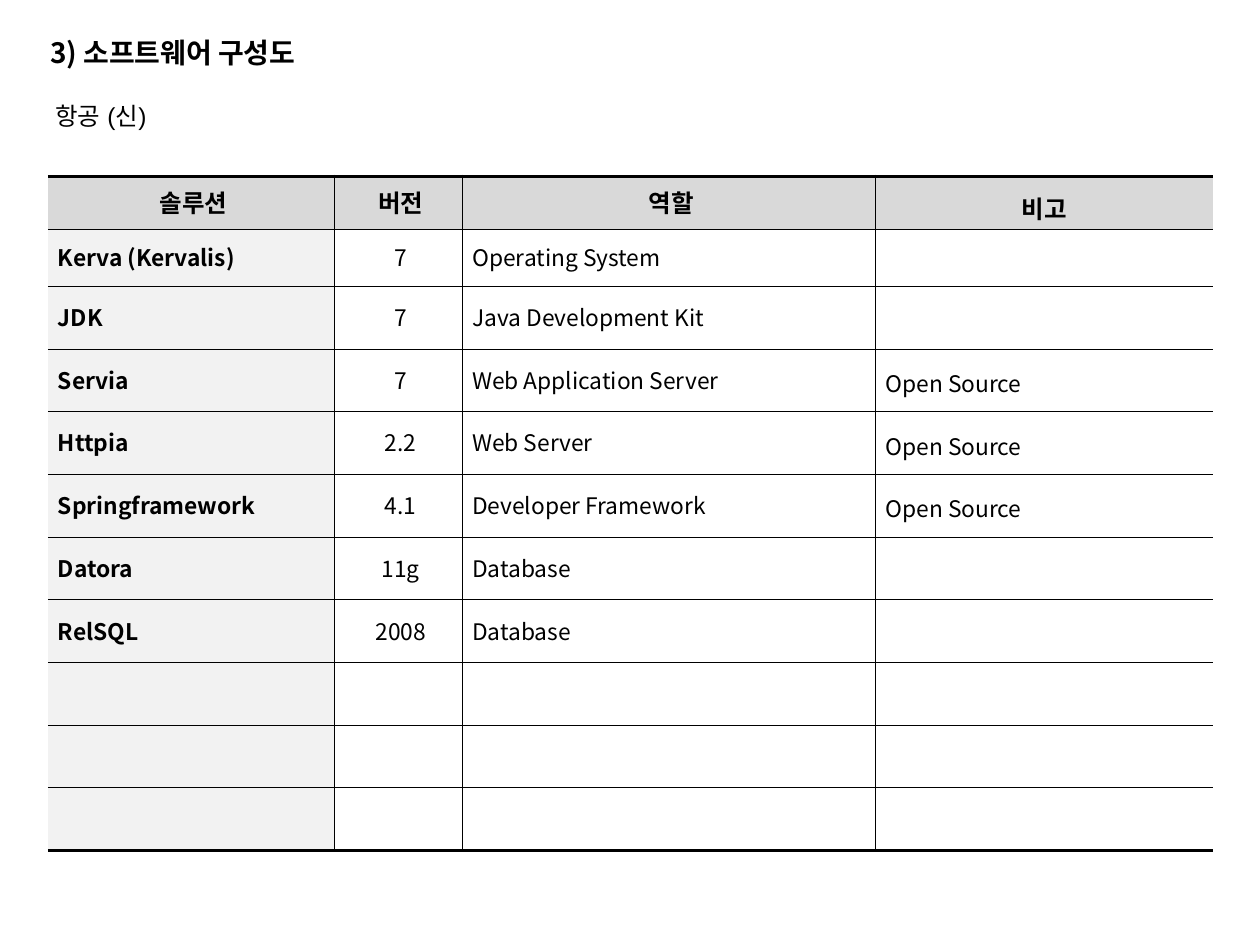
import pptx
import pptx.dml.color
import pptx.enum.text
import pptx.oxml
import pptx.oxml.ns
import pptx.util

Inches, Pt = pptx.util.Inches, pptx.util.Pt
ALIGN = pptx.enum.text.PP_ALIGN
MIDDLE = pptx.enum.text.MSO_ANCHOR.MIDDLE

COLORS = {"text": "000000", "rule": "000000", "header": "D9D9D9",
          "solution": "F2F2F2", "body": "FFFFFF"}
KOREAN_FONT = "Noto Sans CJK KR"
THIN, THICK = 0.25, 2.25

# Table grid, in inches
TABLE_LEFT, TABLE_TOP, TABLE_HEIGHT = 0.38, 1.4, 5.35
COLUMN_WIDTHS = [2.27, 1.02, 3.28, 2.68]
HEADER_HEIGHT, FIRST_HEIGHT = 0.42, 0.45
EMPTY_ROWS = 3

HEADINGS = ["솔루션", "버전", "역할", "비고"]
SOLUTIONS = [
    ["Kerva (Kervalis)", "7", "Operating System", ""],
    ["JDK", "7", "Java Development Kit", ""],
    ["Servia", "7", "Web Application Server", "Open Source"],
    ["Httpia", "2.2", "Web Server", "Open Source"],
    ["Springframework", "4.1", "Developer Framework", "Open Source"],
    ["Datora", "11g", "Database", ""],
    ["RelSQL", "2008", "Database", ""],
]


def rgb(name):
    return pptx.dml.color.RGBColor.from_string(COLORS[name])


def write(frame, text, size=13, bold=False, font=KOREAN_FONT,
          align=ALIGN.LEFT, before=0, spacing=None, hanging=0):
    paragraph = frame.paragraphs[0]
    paragraph.alignment = align
    paragraph.space_before = Pt(before)
    if spacing:
        paragraph.line_spacing = spacing
    if hanging:
        properties = paragraph._p.get_or_add_pPr()
        properties.set("marL", str(Inches(hanging)))
        properties.set("indent", str(-Inches(hanging)))
    run = paragraph.add_run()
    run.text = text
    run.font.size, run.font.bold, run.font.name = Pt(size), bold, font
    run.font.color.rgb = rgb("text")
    # Hangul takes its typeface from the East Asian font
    east_asian = pptx.oxml.parse_xml(
        f'<a:ea {pptx.oxml.ns.nsdecls("a")} typeface="{font}"/>')
    run.font._element.append(east_asian)


def add_label(slide, text, left, top, width, height, anchor=None, **style):
    box = slide.shapes.add_textbox(*map(Inches, (left, top, width, height)))
    box.text_frame.word_wrap = True
    if anchor is not None:
        box.text_frame.vertical_anchor = anchor
    write(box.text_frame, text, **style)


def set_borders(cell, left, right, top, bottom):
    """Draw each side with its width in points; 0 leaves it open."""
    properties = cell._tc.get_or_add_tcPr()
    sides = {"lnL": left, "lnR": right, "lnT": top, "lnB": bottom}
    for position, (tag, width) in enumerate(sides.items()):
        paint = (f'<a:solidFill><a:srgbClr val="{COLORS["rule"]}"/></a:solidFill>'
                 if width else "<a:noFill/>")
        line = pptx.oxml.parse_xml(
            f'<a:{tag} {pptx.oxml.ns.nsdecls("a")} w="{Pt(width)}">'
            f'{paint}</a:{tag}>')
        properties.insert(position, line)


def set_margins(cell, left, top, right, bottom):
    cell.margin_left, cell.margin_top = Inches(left), Inches(top)
    cell.margin_right, cell.margin_bottom = Inches(right), Inches(bottom)


def format_cell(cell, text, row, column, last_row):
    remark = column == len(HEADINGS) - 1
    header = row == 0
    fill = "header" if header else "solution" if column == 0 else "body"
    cell.fill.solid()
    cell.fill.fore_color.rgb = rgb(fill)
    cell.vertical_anchor = MIDDLE
    set_margins(cell, 0.08, 0.04, 0.04, 0.05)
    set_borders(cell, left=THIN if column else 0, right=0 if remark else THIN,
                top=THICK if header else THIN,
                bottom=THICK if row == last_row else THIN)
    if header and remark:
        set_margins(cell, 0.04, 0.05, 0.04, 0.05)
    if text:
        write(cell.text_frame, text, size=14 if header else 13,
              bold=header or column == 0,
              align=ALIGN.CENTER if header or column == 1 else ALIGN.LEFT,
              before=0 if header and remark else 6,
              spacing=1.2 if remark else None,
              hanging=0.09 if row > 1 else 0)


def add_solution_table(slide):
    blank = [""] * len(HEADINGS)
    rows = [HEADINGS] + SOLUTIONS + [blank] * EMPTY_ROWS
    table = slide.shapes.add_table(
        len(rows), len(HEADINGS), Inches(TABLE_LEFT), Inches(TABLE_TOP),
        Inches(sum(COLUMN_WIDTHS)), Inches(TABLE_HEIGHT)).table
    table.first_row = table.horz_banding = False
    for column, width in zip(table.columns, COLUMN_WIDTHS):
        column.width = Inches(width)
    # The rows below the first solution share the remaining height
    shared = (TABLE_HEIGHT - HEADER_HEIGHT - FIRST_HEIGHT) / (len(rows) - 2)
    for r, texts in enumerate(rows):
        height = (HEADER_HEIGHT, FIRST_HEIGHT)[r] if r < 2 else shared
        table.rows[r].height = Inches(height)
        for c, text in enumerate(texts):
            format_cell(table.cell(r, c), text, r, c, len(rows) - 1)


def main():
    deck = pptx.Presentation()
    deck.slide_width, deck.slide_height = Inches(10), Inches(7.5)
    slide = deck.slides.add_slide(deck.slide_layouts[6])
    # Section title, table, system name
    add_label(slide, "3) 소프트웨어 구성도", 0.3, 0.19, 3.84, 0.45,
              anchor=MIDDLE, size=16, bold=True)
    add_solution_table(slide)
    add_label(slide, "항공 (신)", 0.34, 0.75, 9.96, 0.4,
              size=14, font="Arial", before=2.8)
    deck.save("out.pptx")


if __name__ == "__main__":
    main()
